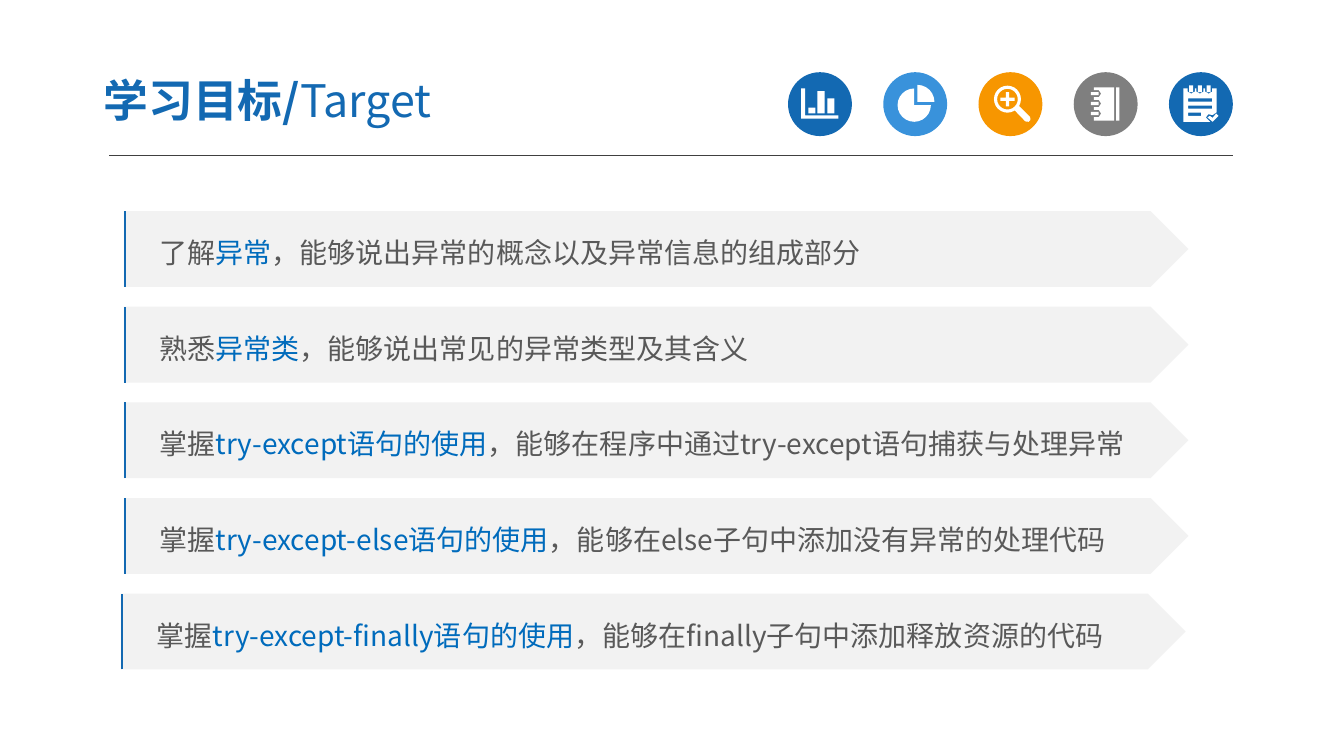
from math import cos, radians, sin
from lxml import etree
from pptx import Presentation
from pptx.dml.color import RGBColor
from pptx.enum.shapes import MSO_CONNECTOR, MSO_SHAPE
from pptx.enum.text import MSO_ANCHOR, PP_ALIGN
from pptx.oxml.ns import qn
from pptx.util import Cm, Pt

FONT = "Noto Sans CJK SC"
BLUE, SKY, ORANGE, GREY = "1369B2", "3992DB", "F79600", "7F7F7F"
WHITE, PALE, DARK, ACCENT = "FFFFFF", "F2F2F2", "595959", "006BBC"

GOALS = [
    ("了解", "异常", "，能够说出异常的概念以及异常信息的组成部分"),
    ("熟悉", "异常类", "，能够说出常见的异常类型及其含义"),
    ("掌握", "try-except语句的使用", "，能够在程序中通过try-except语句捕获与处理异常"),
    ("掌握", "try-except-else语句的使用", "，能够在else子句中添加没有异常的处理代码"),
    ("掌握", "try-except-finally语句的使用", "，能够在finally子句中添加释放资源的代码"),
]


def color(code):
    return RGBColor.from_string(code)


def paint(shape, fill):
    shape.shadow.inherit = False
    shape.fill.solid()
    shape.fill.fore_color.rgb = color(fill)
    shape.line.fill.background()


def add_form(slide, kind, x, y, w, h, fill):
    shape = slide.shapes.add_shape(kind, Cm(x), Cm(y), Cm(w), Cm(h))
    paint(shape, fill)
    return shape


def add_rule(slide, x1, y1, x2, y2, tone, width):
    rule = slide.shapes.add_connector(
        MSO_CONNECTOR.STRAIGHT, Cm(x1), Cm(y1), Cm(x2), Cm(y2))
    rule.line.color.rgb = color(tone)
    rule.line.width = Pt(width)
    etree.SubElement(rule._element.spPr, qn("a:effectLst"))


def add_edge(slide, x, y, high):
    """Draw the open outline along the left side of a bar."""
    path = slide.shapes.build_freeform(Cm(x), Cm(y + high))
    path.add_line_segments([(Cm(x), Cm(y))], close=False)
    path.move_to(Cm(x + 0.3), Cm(y))
    edge = path.convert_to_shape()
    edge.shadow.inherit = False
    edge.fill.background()
    edge.line.color.rgb = color(BLUE)
    edge.line.width = Pt(1.5)


def add_run(para, text, size, tone, bold=False):
    """Append a run that has the same font for Latin and Chinese."""
    run = para.add_run()
    run.text = text
    font = run.font
    font.name, font.size, font.bold = FONT, Pt(size), bold
    font.color.rgb = color(tone)
    latin = font._element.find(qn("a:latin"))
    latin.addnext(etree.Element(qn("a:ea"), typeface=FONT))


def add_title(slide):
    box = slide.shapes.add_textbox(Cm(2.28), Cm(1.6), Cm(13.26), Cm(1.83))
    frame = box.text_frame
    frame.word_wrap = True
    frame.vertical_anchor = MSO_ANCHOR.MIDDLE
    frame.margin_left = frame.margin_right = Cm(0.33)
    frame.margin_top = frame.margin_bottom = Cm(0.18)
    para = frame.paragraphs[0]
    add_run(para, "学习目标/", 32, BLUE, True)
    add_run(para, "Target", 32, BLUE)


def add_goal(slide, x, y, parts):
    high = 1.91
    bar = add_form(slide, MSO_SHAPE.PENTAGON, x, y, 26.83, high, PALE)
    frame = bar.text_frame
    frame.word_wrap = True
    frame.vertical_anchor = MSO_ANCHOR.MIDDLE
    frame.margin_left, frame.margin_right = Cm(0.9), Cm(0)
    para = frame.paragraphs[0]
    para.alignment = PP_ALIGN.LEFT
    para.line_spacing = 1.2
    for text, tone in zip(parts, (DARK, ACCENT, DARK)):
        add_run(para, text, 20, tone)
    add_edge(slide, x + 0.03, y, high)


def box(x, y, w, h):
    return [(x, y), (x + w, y), (x + w, y + h), (x, y + h)]


def arc(x, y, r, start=0, end=360):
    """Return points on a circle, clockwise from the right."""
    turns = [radians(turn) for turn in range(start, end + 1, 15)]
    return [(x + r * cos(turn), y + r * sin(turn)) for turn in turns]


def chart():
    axes = [(0.33, 0.41), (0.43, 0.41), (0.43, 1.09),
            (1.27, 1.09), (1.27, 1.17), (0.33, 1.17)]
    bars = ((0.51, 0.89), (0.74, 0.48), (0.99, 0.66))
    return [axes] + [box(x, y, 0.18, 1.04 - y) for x, y in bars]


def pie():
    return [[(0.78, 0.83)] + arc(0.78, 0.83, 0.42, 0, 270),
            [(0.86, 0.75)] + arc(0.86, 0.75, 0.43, 270, 360)]


def lens():
    x, y, long, thin = 0.73, 0.68, 0.18, 0.04
    plus = [(x - long, y - thin), (x - thin, y - thin), (x - thin, y - long),
            (x + thin, y - long), (x + thin, y - thin), (x + long, y - thin),
            (x + long, y + thin), (x + thin, y + thin), (x + thin, y + long),
            (x - thin, y + long), (x - thin, y + thin), (x - long, y + thin)]
    grip = [(0.92, 0.97), (1.03, 0.86), (1.3, 1.13), (1.31, 1.2),
            (1.26, 1.25), (1.18, 1.24)]
    return [arc(x, y, 0.34), arc(x, y, 0.26), plus, grip]


def book():
    rows = [0.54, 0.79, 1.04]
    cover = [(0.51, 0.38)]
    for y in rows:
        cover += [(0.51, y - 0.09), (0.63, y - 0.09), (0.69, y),
                  (0.63, y + 0.09), (0.51, y + 0.09)]
    cover += [(0.51, 1.22), (1.02, 1.22), (1.02, 0.38)]
    rings = [box(0.43, y - 0.04, 0.2, 0.08) for y in rows]
    return [cover, box(1.07, 0.38, 0.08, 0.84)] + rings


def notes():
    cols = [0.56, 0.78, 1]
    page = [(0.36, 0.41)]
    for x in cols:
        page += [(x - 0.09, 0.41), (x - 0.09, 0.49), (x, 0.54),
                 (x + 0.09, 0.49), (x + 0.09, 0.41)]
    page += [(1.2, 0.41), (1.2, 1.01), (1.1, 1.08), (0.99, 1.06),
             (0.93, 1.14), (1.04, 1.25), (0.36, 1.25)]
    rings = [box(x - 0.05, 0.33, 0.1, 0.17) for x in cols]
    lines = [box(0.48, 0.66 + 0.18 * row, wide, 0.08)
             for row, wide in enumerate((0.61, 0.61, 0.33))]
    tick = [(0.97, 1.14), (1.03, 1.1), (1.1, 1.15),
            (1.19, 1.04), (1.25, 1.1), (1.1, 1.25)]
    return [page, tick] + rings + lines


def add_icon(slide, x, y, back, loops):
    """Draw a disc and, on it, one white outline; inner loops are holes."""
    add_form(slide, MSO_SHAPE.OVAL, x, y, 1.61, 1.61, back)
    path = None
    for loop in loops:
        spots = [(Cm(x + left), Cm(y + top)) for left, top in loop]
        if path is None:
            path = slide.shapes.build_freeform(*spots[0])
        else:
            path.move_to(*spots[0])
        path.add_line_segments(spots[1:], close=True)
    paint(path.convert_to_shape(), WHITE)


def main():
    deck = Presentation()
    deck.slide_width, deck.slide_height = Cm(33.87), Cm(19.05)
    slide = deck.slides.add_slide(deck.slide_layouts[6])
    add_rule(slide, 2.75, 3.92, 31.08, 3.92, "404040", 0.75)
    icons = [(BLUE, chart()), (SKY, pie()), (ORANGE, lens()),
             (GREY, book()), (BLUE, notes())]
    for col, (back, loops) in enumerate(icons):
        add_icon(slide, 19.86 + 2.4 * col, 1.82, back, loops)
    add_title(slide)
    for row, parts in enumerate(GOALS):
        x = 3.05 if row == len(GOALS) - 1 else 3.12
        add_goal(slide, x, 5.32 + 2.41 * row, parts)
    deck.save("out.pptx")


if __name__ == "__main__":
    main()
